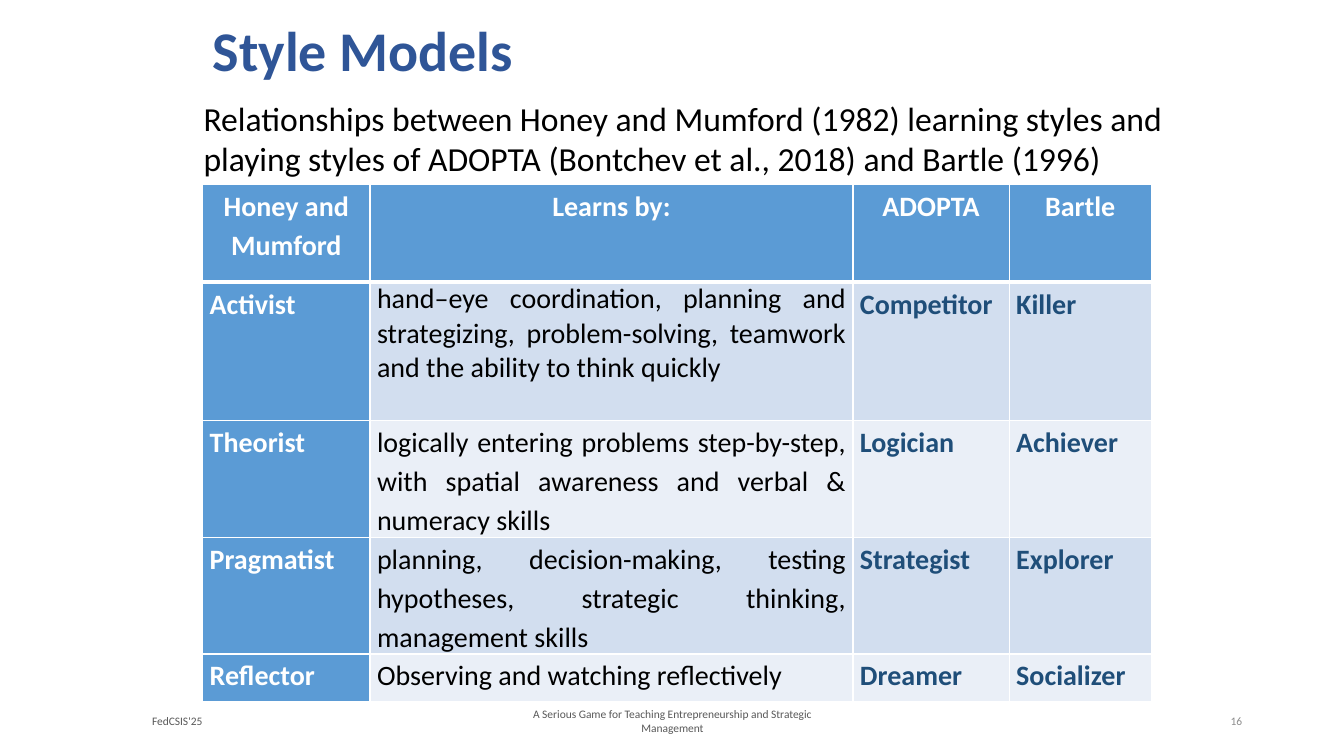
from dataclasses import dataclass

from lxml.etree import SubElement
from pptx import Presentation
from pptx.dml.color import RGBColor
from pptx.enum.text import MSO_ANCHOR as Anchor, PP_ALIGN as Align
from pptx.oxml.ns import qn
from pptx.util import Emu, Pt

PX = 9144  # 100 px to the inch


@dataclass(frozen=True)
class Theme:
    font: str = "Calibri"
    title: str = "2F5597"
    text: str = "000000"
    white: str = "FFFFFF"
    accent: str = "5B9BD5"
    style_name: str = "1F4E79"
    bands: tuple = ("D2DEEF", "EAEFF7")
    footer: str = "595959"
    number: str = "8C8C8C"
    title_size: float = 40
    intro_size: float = 24
    table_size: float = 20
    footer_size: float = 8.2


def px(*lengths):
    return [Emu(n * PX) for n in lengths]


def write(tf, text, *, font, size, color, bold=False, align=Align.LEFT,
          anchor=Anchor.TOP, spacing=1.0, after=0):
    tf.word_wrap = True
    tf.vertical_anchor = anchor
    p = tf.paragraphs[0]
    p.alignment = align
    p.line_spacing = spacing
    p.space_before = Pt(0)
    p.space_after = Pt(after)
    r = p.add_run()
    r.text = text
    r.font.name = font
    r.font.size = Pt(size)
    r.font.bold = bold
    r.font.color.rgb = RGBColor.from_string(color)


def set_borders(cell, color, **widths):
    """Draw the cell's edges; widths are in points, keyed L, R, T, B."""
    tcPr = cell._tc.get_or_add_tcPr()
    for side, width in widths.items():
        ln = SubElement(tcPr, qn(f"a:ln{side}"), w=str(Pt(width)))
        fill = SubElement(ln, qn("a:solidFill"))
        SubElement(fill, qn("a:srgbClr"), val=color)


class Deck:
    def __init__(self, theme, width, height):
        self.theme = theme
        self.prs = Presentation()
        self.prs.slide_width, self.prs.slide_height = px(width, height)
        self.s = None

    def add_slide(self):
        self.s = self.prs.slides.add_slide(self.prs.slide_layouts[5])

    def title(self, text, box):
        sp = self.s.shapes.title
        sp.left, sp.top, sp.width, sp.height = px(*box)
        write(sp.text_frame, text, font=self.theme.font, size=self.theme.title_size,
              color=self.theme.title, bold=True, anchor=Anchor.MIDDLE, spacing=0.9)

    def text(self, text, box, **style):
        sp = self.s.shapes.add_textbox(*px(*box))
        write(sp.text_frame, text, font=self.theme.font, **style)

    def footer(self, text, box, color, align):
        self.text(text, box, size=self.theme.footer_size, color=color,
                  align=align, anchor=Anchor.MIDDLE)

    def table(self, rows, left, top, col_widths, row_heights):
        box = px(left, top, sum(col_widths), sum(row_heights))
        table = self.s.shapes.add_table(len(rows), len(col_widths), *box).table
        for column, width in zip(table.columns, px(*col_widths)):
            column.width = width
        for row, height in zip(table.rows, px(*row_heights)):
            row.height = height
        for i, row in enumerate(rows):
            for j, text in enumerate(row):
                self.cell(table.cell(i, j), text, i, j)

    def cell(self, cell, text, i, j):
        t = self.theme
        header, description = i == 0, i > 0 and j == 1
        if header or j == 0:
            fill, color = t.accent, t.white
        else:
            fill = t.bands[(i - 1) % 2]
            color = t.text if description else t.style_name
        cell.margin_left, cell.margin_right = px(7, 7)
        cell.margin_top = cell.margin_bottom = 0
        set_borders(cell, t.white, L=1, R=1, T=3 if i == 1 else 1, B=3 if header else 1)
        cell.fill.solid()
        cell.fill.fore_color.rgb = RGBColor.from_string(fill)
        tight = description and i == 1
        write(cell.text_frame, text, font=t.font, size=t.table_size, color=color,
              bold=not description, align=Align.CENTER if header else Align.JUSTIFY,
              spacing=1.0 if tight else 1.15, after=0 if tight else 6)


STYLES = [
    ("Honey and Mumford", "Learns by:", "ADOPTA", "Bartle"),
    ("Activist", "hand–eye coordination, planning and strategizing, problem-solving, "
     "teamwork and the ability to think quickly", "Competitor", "Killer"),
    ("Theorist", "logically entering problems step-by-step, with spatial awareness "
     "and verbal & numeracy skills", "Logician", "Achiever"),
    ("Pragmatist", "planning, decision-making, testing hypotheses, strategic thinking, "
     "management skills", "Strategist", "Explorer"),
    ("Reflector", "Observing and watching reflectively", "Dreamer", "Socializer"),
]


def main():
    theme = Theme()
    deck = Deck(theme, 1333, 750)
    deck.add_slide()
    deck.title("Style Models", (201, 8, 862, 89))
    deck.text("Relationships between Honey and Mumford (1982) learning styles and "
              "playing styles of ADOPTA (Bontchev et al., 2018) and Bartle (1996)",
              (192, 92, 975, 91), size=theme.intro_size, color=theme.text)
    deck.table(STYLES, 201, 183, (166, 479, 155, 141), (97, 137, 116, 116, 47))
    deck.footer("FedCSIS'25", (141, 695, 225, 40), theme.footer, Align.LEFT)
    deck.footer("A Serious Game for Teaching Entrepreneurship and Strategic Management",
                (498, 695, 338, 40), theme.footer, Align.CENTER)
    deck.footer("16", (942, 695, 300, 40), theme.number, Align.RIGHT)
    deck.prs.save("out.pptx")


if __name__ == "__main__":
    main()
